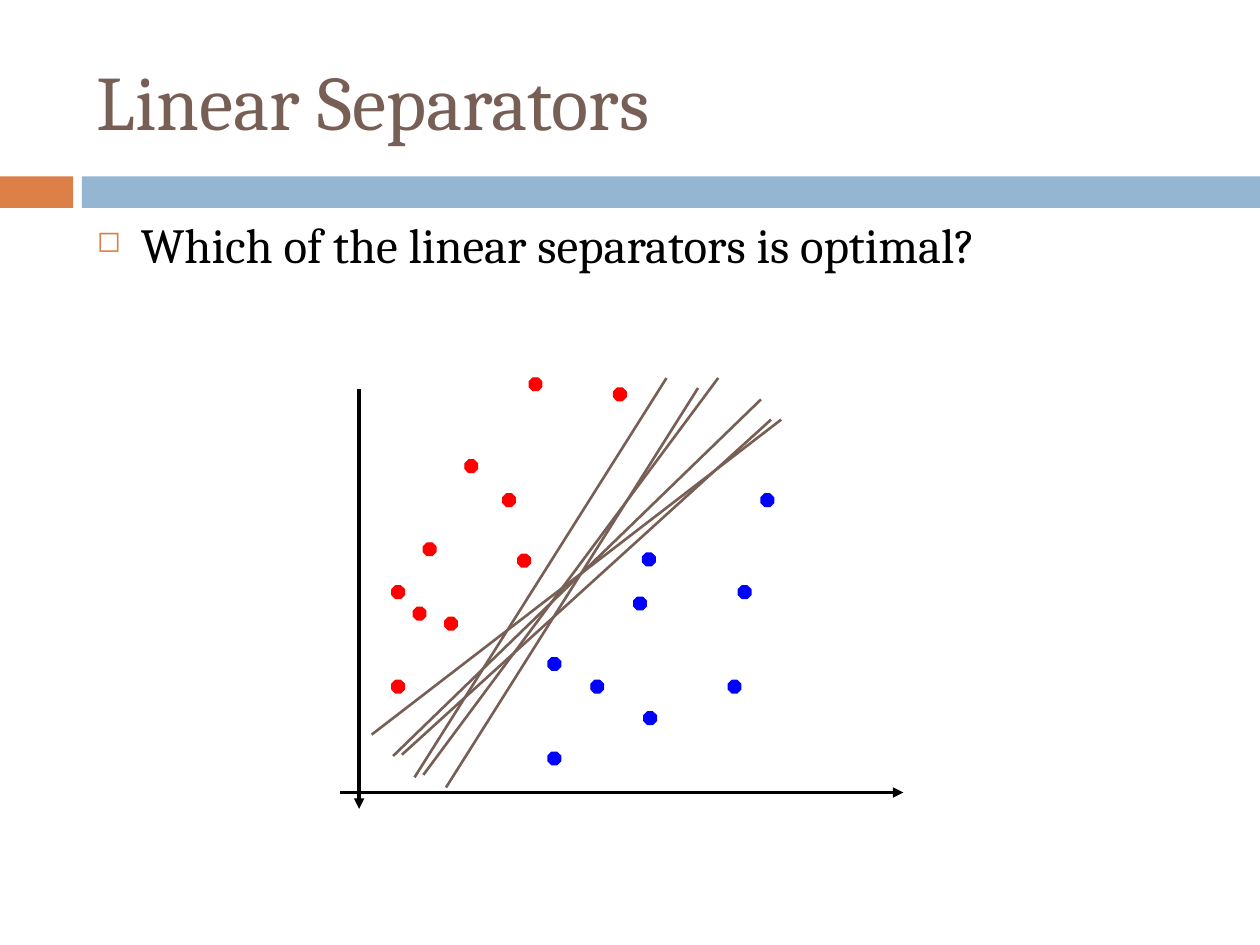
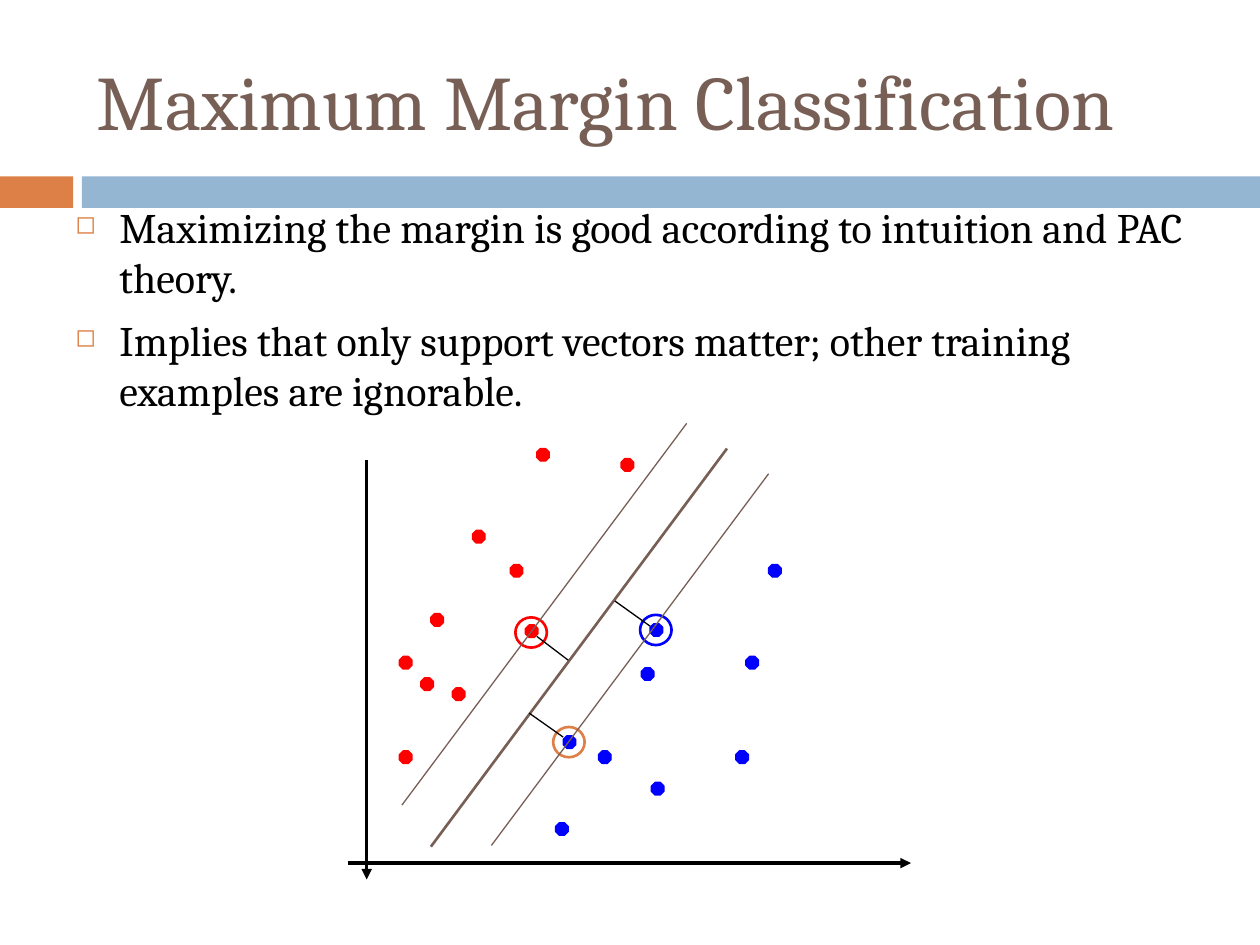
"""Build two slides on linear separators and maximum margin classification."""
from lxml import etree
from pptx import Presentation
from pptx.dml.color import RGBColor
from pptx.enum.shapes import MSO_CONNECTOR, MSO_SHAPE
from pptx.enum.text import MSO_ANCHOR
from pptx.oxml.ns import qn
from pptx.util import Inches, Pt

STRAIGHT = MSO_CONNECTOR.STRAIGHT
RECTANGLE, OCTAGON, OVAL = MSO_SHAPE.RECTANGLE, MSO_SHAPE.OCTAGON, MSO_SHAPE.OVAL
MIDDLE = MSO_ANCHOR.MIDDLE
FONT = "Cambria"
COLORS = {
    "brown": "775F55", "orange": "DD8047", "band": "94B6D2",
    "red": "FF0000", "blue": "0000FF", "black": "000000",
}
DOT_SIZE = 0.1
RING_WIDTH, RING_HEIGHT = 0.25, 0.24
RED_DOTS = [
    (3.99, 3.92), (3.36, 4.31), (3.53, 4.9), (3.11, 5.4), (3.69, 3.65),
    (3.11, 4.65), (3.28, 4.82), (4.11, 4.4), (4.2, 3), (4.87, 3.08),
]
BLUE_DOTS = [
    (5.1, 4.39), (4.69, 5.4), (5.78, 5.4), (4.35, 5.97), (5.03, 4.74),
    (5.11, 5.65), (5.86, 4.65), (6.04, 3.92),
]
AXES = [(2.85, 3.09, 2.85, 6.42), (2.7, 6.29, 7.17, 6.29)]
SLIDES = [
    {
        "title": "Linear Separators",
        "bullets": ["Which of the linear separators is optimal?"],
        "body": (0.67, 1.65), "size": 28, "shift": (0, 0),
        "lower_support": (4.35, 5.22),
        "rings": [],
        "lines": [
            (3.19, 5.99, 6.12, 3.33, "brown", 1.5),
            (3.36, 6.15, 5.7, 3, "brown", 1.5),
            (2.95, 5.83, 6.2, 3.33, "brown", 1.5),
            (3.54, 6.25, 5.54, 3.08, "brown", 1.5),
            (3.29, 6.17, 5.29, 3, "brown", 1.5),
            (3.12, 6, 6.04, 3.17, "brown", 1.5),
        ],
    },
    {
        "title": "Maximum Margin Classification",
        "bullets": [
            "Maximizing the margin is good according to intuition and PAC theory.",
            "Implies that only support vectors matter; other training examples are ignorable.",
        ],
        "body": (0.5, 1.55), "size": 24, "shift": (0.06, 0.56),
        "lower_support": (4.41, 5.28),
        "rings": [(4.09, 4.9, "red"), (4.39, 5.77, "orange"), (5.08, 4.88, "blue")],
        "lines": [
            (3.42, 6.72, 5.77, 3.56, "brown", 1.5),
            (5.16, 4.97, 4.88, 4.77, "black", 0.75),
            (4.47, 5.85, 4.2, 5.66, "black", 0.75),
            (4.51, 5.24, 4.26, 5.05, "black", 0.75),
            (3.9, 6.71, 6.1, 3.76, "brown", 0.75),
            (3.19, 6.39, 5.45, 3.36, "brown", 0.75),
        ],
    },
]


def add_figure(slide, preset, box, fill=None, line=None, weight=0.75):
    figure = slide.shapes.add_shape(preset, *map(Inches, box))
    figure.shadow.inherit = False
    if fill:
        figure.fill.solid()
        figure.fill.fore_color.rgb = RGBColor.from_string(COLORS[fill])
    else:
        figure.fill.background()
    if line:
        figure.line.color.rgb = RGBColor.from_string(COLORS[line])
        figure.line.width = Pt(weight)
    else:
        figure.line.fill.background()


def add_line(slide, ends, color, weight, arrow=False):
    line = slide.shapes.add_connector(STRAIGHT, *map(Inches, ends))
    line.line.color.rgb = RGBColor.from_string(COLORS[color])
    line.line.width = Pt(weight)
    properties = line._element.spPr
    if arrow:
        etree.SubElement(properties.find(qn("a:ln")), qn("a:tailEnd"), type="triangle")
    etree.SubElement(properties, qn("a:effectLst"))


prs = Presentation()
prs.slide_width, prs.slide_height = Inches(10), Inches(7.5)

for content in SLIDES:
    slide = prs.slides.add_slide(prs.slide_layouts[6])
    add_figure(slide, RECTANGLE, (0, 1.4, 0.58, 0.25), "orange")
    add_figure(slide, RECTANGLE, (0.65, 1.4, 9.35, 0.25), "band")

    title = slide.shapes.add_textbox(Inches(0.67), Inches(0.25), Inches(8.92), Inches(1.08))
    title.text_frame.word_wrap = True
    title.text_frame.vertical_anchor = MIDDLE
    title.text_frame.text = content["title"]
    title_font = title.text_frame.paragraphs[0].runs[0].font
    title_font.name, title_font.size = FONT, Pt(44)
    title_font.color.rgb = RGBColor.from_string(COLORS["brown"])

    left, top = content["body"]
    body = slide.shapes.add_textbox(Inches(left), Inches(top), Inches(9), Inches(5.5))
    body.text_frame.word_wrap = True
    body.text_frame.text = "\n".join(content["bullets"])
    for index, bullet in enumerate(body.text_frame.paragraphs):
        if index:
            bullet.space_before = Pt(7)
        layout = bullet._p.get_or_add_pPr()
        layout.set("marL", str(Inches(0.35)))
        layout.set("indent", str(Inches(-0.35)))
        bullet_color = etree.SubElement(layout, qn("a:buClr"))
        etree.SubElement(bullet_color, qn("a:srgbClr"), val=COLORS["orange"])
        etree.SubElement(layout, qn("a:buSzPct"), val="60000")
        etree.SubElement(layout, qn("a:buChar"), char="◻")
        bullet_font = bullet.runs[0].font
        bullet_font.name, bullet_font.size = FONT, Pt(content["size"])
        bullet_font.color.rgb = RGBColor.from_string(COLORS["black"])

    dx, dy = content["shift"]
    for x1, y1, x2, y2 in AXES:
        add_line(slide, (x1 + dx, y1 + dy, x2 + dx, y2 + dy), "black", 2, arrow=True)
    blue_dots = BLUE_DOTS + [content["lower_support"]]
    for color, dots in (("red", RED_DOTS), ("blue", blue_dots)):
        for x, y in dots:
            add_figure(slide, OCTAGON, (x + dx, y + dy, DOT_SIZE, DOT_SIZE), color, color)
    for x, y, color in content["rings"]:
        add_figure(slide, OVAL, (x, y, RING_WIDTH, RING_HEIGHT), line=color, weight=1.5)
    for *ends, color, weight in content["lines"]:
        add_line(slide, ends, color, weight)

prs.save("out.pptx")
